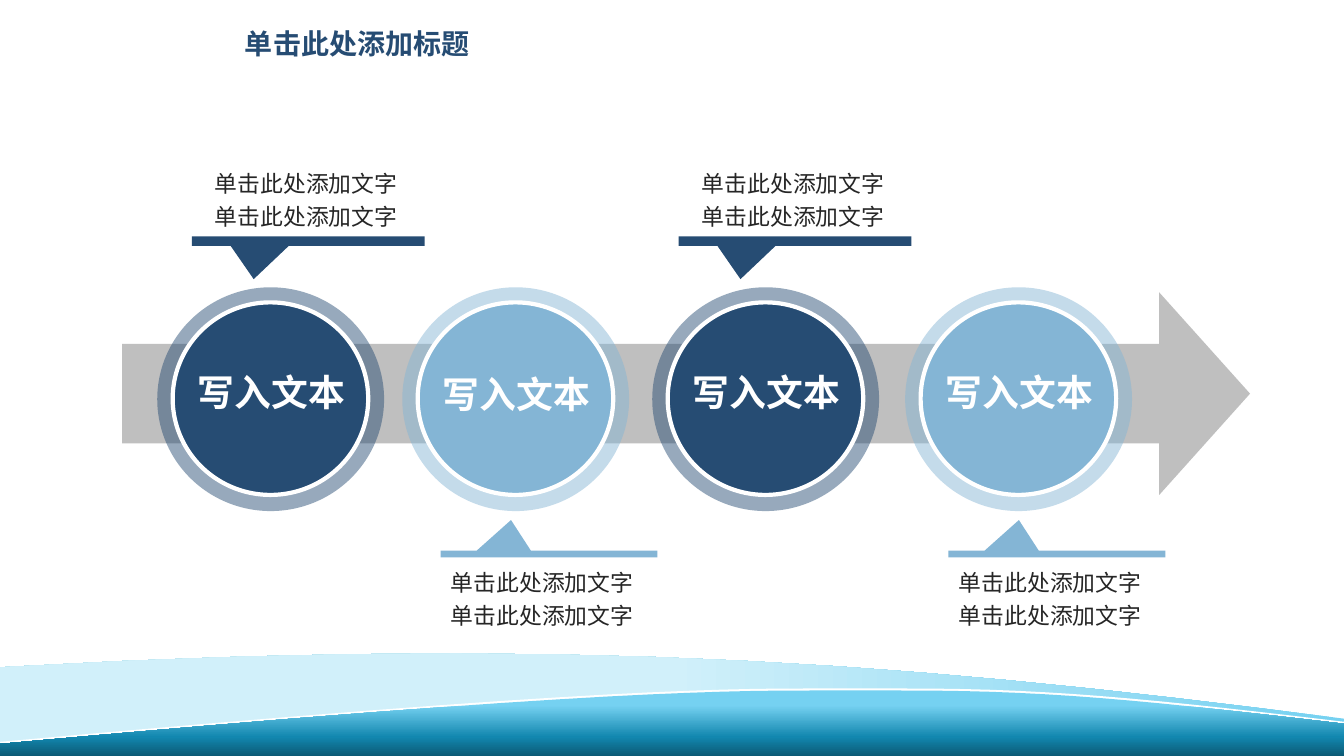
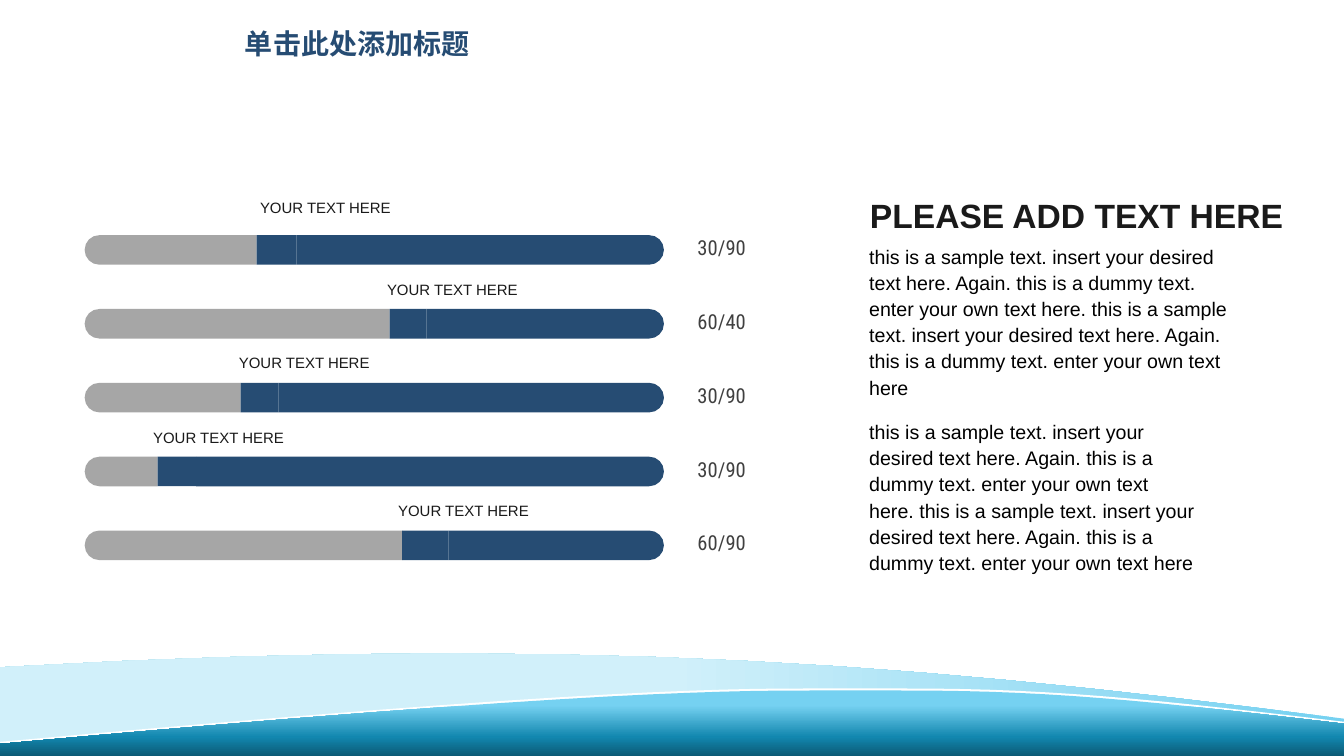
import pptx
import pptx.dml.color
import pptx.enum.shapes
import pptx.enum.text
import pptx.oxml.ns
import pptx.util
import copy
import lxml.etree

SHAPE = pptx.enum.shapes.MSO_SHAPE
NAVY, SKY, WHITE = "264C73", "84B5D5", "FFFFFF"
ARIAL, CJK, CONDENSED = "Arial", "Noto Sans CJK SC", "Roboto Condensed"


def rgb(color):
    return pptx.dml.color.RGBColor.from_string(color)


def curve(start, c1, c2, end, steps=14):
    points = []
    for i in range(steps + 1):
        t = i / steps
        weights = ((1 - t) ** 3, 3 * t * (1 - t) ** 2, 3 * t * t * (1 - t), t ** 3)
        points.append(tuple(sum(w * q[axis] for w, q in zip(weights, (start, c1, c2, end)))
                            for axis in (0, 1)))
    return points


def crest(drop):
    points = (
        curve((0, 98.13), (38.93, 91.87), (51.6, 91.07), (59.85, 91.07))
        + curve((59.85, 91.07), (62.63, 91), (64.88, 91.07), (67.43, 91.07), 2)
        + curve((67.43, 91.07), (77.7, 91.07), (84.83, 92.27), (100, 95.47))
    )
    return [(x, y + drop) for x, y in points]


class Deck:
    """Holds the shared style and the current slide; lengths are percent of the slide's size."""

    def __init__(self):
        self.prs = pptx.Presentation()
        self.prs.slide_width = pptx.util.Inches(13.33)
        self.prs.slide_height = pptx.util.Inches(7.5)

    def x(self, share):
        return round(self.prs.slide_width * share / 100)

    def y(self, share):
        return round(self.prs.slide_height * share / 100)

    def box(self, left, top, width, height):
        return self.x(left), self.y(top), self.x(width), self.y(height)

    def new_slide(self, title):
        self.s = self.prs.slides.add_slide(self.prs.slide_layouts[6])
        back = (curve((0, 88.27), (44.4, 83.73), (69.98, 88.27), (100, 95.07))
                + curve((100, 97.73), (65.4, 85.47), (36.23, 95.73), (0, 98.8)))
        self.gradient(self.outline(back), 180, (0, "75D1F1"), (50, "D1F0FA"), (100, "D1F0FA"))
        self.outline(crest(0) + crest(1.33)[::-1], WHITE)
        front = self.outline(crest(0.27) + [(100, 100), (0, 100)])
        self.gradient(front, 270, (23, "75D1F1"), (71, "1287AF"), (100, "0C5A75"))
        self.text((17.48, 1.47, 18.38, 6.67), [title], 20, ARIAL, NAVY,
                  bold=True, spacing=1.3, wrap=False)

    def paint(self, sp, fill, alpha=None, line=None):
        sp.shadow.inherit = False
        if fill:
            sp.fill.solid()
            sp.fill.fore_color.rgb = rgb(fill)
        if alpha:
            color = sp._element.spPr.find(".//" + pptx.oxml.ns.qn("a:srgbClr"))
            lxml.etree.SubElement(color, pptx.oxml.ns.qn("a:alpha"), val=str(alpha * 1000))
        if line:
            sp.line.color.rgb = rgb(line)
            sp.line.width = pptx.util.Pt(3)
        else:
            sp.line.fill.background()
        return sp

    def gradient(self, sp, angle, *stops):
        sp.fill.gradient()
        sp.fill.gradient_angle = angle
        stop_list = sp._element.spPr.find(".//" + pptx.oxml.ns.qn("a:gsLst"))
        while len(stop_list) < len(stops):
            stop_list.append(copy.deepcopy(stop_list[0]))
        for stop, (position, color) in zip(sp.fill.gradient_stops, stops):
            stop.position = position / 100
            stop.color.rgb = rgb(color)

    def outline(self, points, fill=None):
        points = [(self.x(x), self.y(y)) for x, y in points]
        builder = self.s.shapes.build_freeform(*points[0])
        builder.add_line_segments(points[1:], close=True)
        return self.paint(builder.convert_to_shape(), fill)

    def shape(self, kind, box, fill, adjustments=(), alpha=None, line=None):
        sp = self.s.shapes.add_shape(kind, *self.box(*box))
        for i, value in enumerate(adjustments):
            sp.adjustments[i] = value
        return self.paint(sp, fill, alpha, line)

    def text(self, box, lines, size, font, color, bold=False, spacing=None,
             align=None, wrap=True, inset=(0.75, 0.67)):
        tf = self.s.shapes.add_textbox(*self.box(*box)).text_frame
        tf.word_wrap = wrap
        tf.auto_size = pptx.enum.text.MSO_AUTO_SIZE.SHAPE_TO_FIT_TEXT
        tf.margin_left = tf.margin_right = self.x(inset[0])
        tf.margin_top = tf.margin_bottom = self.y(inset[1])
        for i, line in enumerate(lines):
            p = tf.paragraphs[0] if i == 0 else tf.add_paragraph()
            p.text = line
            p.alignment = align
            p.line_spacing = spacing
            p.font.size = pptx.util.Pt(size)
            p.font.name = font
            p.font.bold = bold
            p.font.color.rgb = rgb(color)

    def badge(self, left, text_top, color):
        self.shape(SHAPE.OVAL, (left, 38, 16.88, 29.6), color, alpha=48)
        self.shape(SHAPE.OVAL, (left + 1.15, 40, 14.55, 25.47), color, line=WHITE)
        self.text((left - 0.79, text_top, 18.6, 10.4), ["写入文本"], 26.3, CJK, WHITE,
                  bold=True, align=pptx.enum.text.PP_ALIGN.CENTER)

    def callout(self, box, pointer, color, text_left, text_top):
        self.shape(SHAPE.RECTANGULAR_CALLOUT, box, color, pointer)
        self.text((text_left, text_top, 16.13, 10.53), ["单击此处添加文字"] * 2,
                  16.3, CJK, "262626", spacing=1.2, inset=(0.98, 0.93))

    def bar_end(self, flat, tip, top, height, fill):
        radius = 1.1 if tip > flat else -1.1
        shoulder, bend, middle = tip - radius, tip - 0.45 * radius, top + height / 2
        upper = curve((shoulder, top), (bend, top), (tip, top + 0.22 * height), (tip, middle), 4)
        lower = [(x, 2 * middle - y) for x, y in upper[-2::-1]]
        self.outline([(flat, top)] + upper + lower + [(flat, top + height)], fill)

    def bar(self, top, split, seam):
        left, right, height = 6.3, 49.4, 3.91
        self.bar_end(split, left, top, height, "A6A6A6")
        self.bar_end(seam, right, top, height, NAVY)
        self.shape(SHAPE.RECTANGLE, (split, top, seam - split, height), NAVY)


def build_process(deck):
    deck.new_slide("单击此处添加标题")
    deck.shape(SHAPE.RIGHT_ARROW, (9.08, 38.67, 83.93, 26.8), "BFBFBF", (0.491, 0.448))
    steps = [(11.7, 48.27, 14.27, 15), (29.93, 48.53, 32.78, 32.55),
             (48.53, 48.27, 50.49, 51.23), (67.35, 48.27, 70.57, 70.35)]
    for i, (left, text_top, callout_left, text_left) in enumerate(steps):
        color = SKY if i % 2 else NAVY
        deck.badge(left, text_top, color)
        if i % 2:
            deck.callout((callout_left, 72.84, 16.13, 0.88), (-0.175, -5.095),
                         color, text_left, 73.6)
        else:
            deck.callout((callout_left, 31.27, 17.33, 1.25), (-0.234, 4.033),
                         color, text_left, 20.8)


def build_bars(deck):
    deck.new_slide("单击此处添加标题")
    rows = [(19.1, 22.05, 18.6, 25.6, "30/90"), (29, 31.73, 28.05, 36.4, "60/40"),
            (17.9, 20.72, 17.03, 46.13, "30/90"), (11.72, 14.6, 10.65, 56, "30/90"),
            (29.93, 33.38, 28.88, 65.73, "60/90")]
    for i, (split, seam, label_left, label_top, value) in enumerate(rows):
        offset = 9.77 * i
        deck.bar(31.1 + offset, split, seam)
        deck.text((51.15, 30.4 + offset, 5.4, 4.67), [value], 14.7, CONDENSED,
                  "404040", wrap=False)
        deck.text((label_left, label_top, 11.4, 3.73), ["YOUR TEXT HERE"], 10.7, ARIAL,
                  "1A1A1A", wrap=False)
    deck.text((63.98, 25.07, 32.55, 6.67), ["PLEASE ADD TEXT HERE"], 24, ARIAL,
              "1A1A1A", bold=True, wrap=False)
    sample = ("this is a sample text. insert your desired text here. Again. "
              "this is a dummy text. enter your own text here. "
              "this is a sample text. insert your desired text here. Again. "
              "this is a dummy text. enter your own text here")
    for top, width, height in [(31.33, 28.88, 22.4), (54.53, 25.88, 22.67)]:
        deck.text((63.92, top, width, height), [sample], 14, ARIAL, "000000",
                  spacing=pptx.util.Pt(18.7))


def main():
    deck = Deck()
    build_process(deck)
    build_bars(deck)
    deck.prs.save("out.pptx")


if __name__ == "__main__":
    main()
